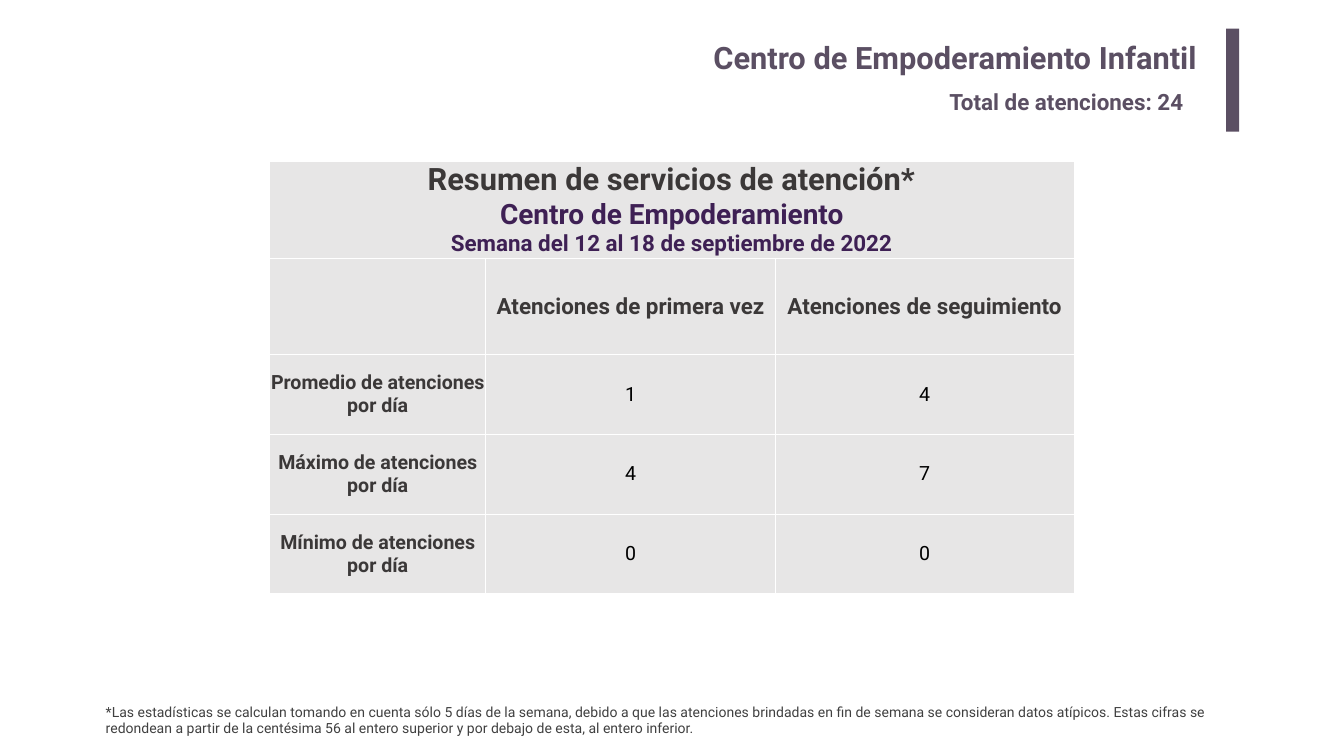
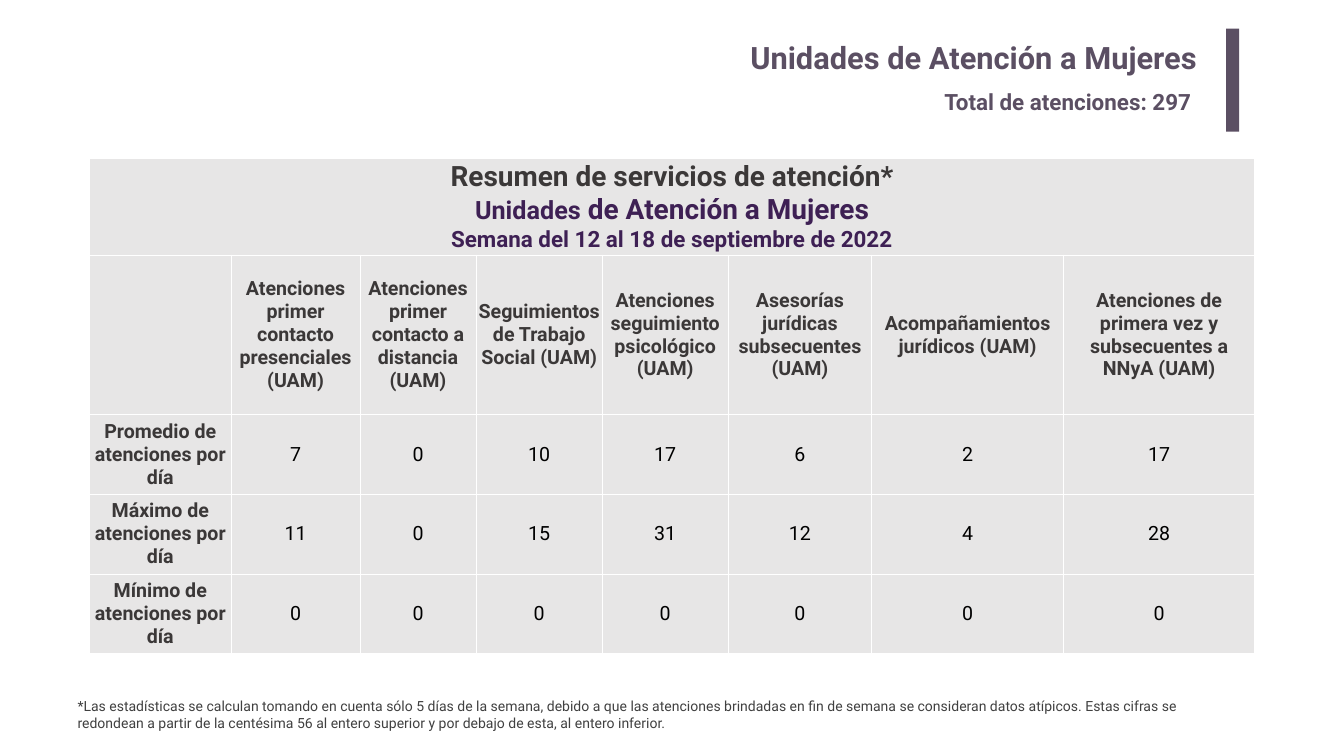
"""Build two slides that summarise weekly attention services."""
from lxml import etree
from pptx import Presentation
from pptx import util as u
from pptx.dml.color import RGBColor
from pptx.enum import shapes, text
from pptx.oxml import ns

PX = 9144
FONT = "Roboto"
COLORS = {
    "accent": "5B4F63",
    "heading": "3B3838",
    "violet": "3E2054",
    "value": "000000",
    "note": "404040",
    "cell": "E7E6E6",
    "border": "FFFFFF",
}
WEEK = "Semana del 12 al 18 de septiembre de 2022"
SUMMARY = "Resumen de servicios de atención*"
NOTE = (
    "*Las estadísticas se calculan tomando en cuenta sólo 5 días de la semana, "
    "debido a que las atenciones brindadas en fin de semana se consideran datos "
    "atípicos. Estas cifras se redondean a partir de la centésima 56 al entero "
    "superior y por debajo de esta, al entero inferior."
)
ROW_LABELS = [f"{measure} de atenciones por día" for measure in ("Promedio", "Máximo", "Mínimo")]

centers = [
    {
        "title": "Centro de Empoderamiento Infantil",
        "total": "Total de atenciones: 24",
        "total_box": (1874, 169, 528, 64),
        "note_box": (200, 1390, 2233, 77),
        "table_at": (535, 320),
        "columns": [429, 575, 592],
        "rows": [192, 192, 158, 158, 158],
        "banner": [
            [(SUMMARY, 44, "heading")],
            [("Centro de Empoderamiento", 40, "violet")],
            [(WEEK, 32, "violet")],
        ],
        "header_size": 32,
        "headers": ["Atenciones de primera vez", "Atenciones de seguimiento"],
        "values": [[1, 4], [4, 7], [0, 0]],
    },
    {
        "title": "Unidades de Atención a Mujeres",
        "total": "Total de atenciones: 297",
        "total_box": (1864, 169, 538, 64),
        "note_box": (144, 1379, 2277, 77),
        "table_at": (177, 315),
        "columns": [282, 255, 231, 250, 250, 285, 380, 380],
        "rows": [191, 317, 158, 158, 158],
        "banner": [
            [(SUMMARY, 40, "heading")],
            [("Unidades", 36, "violet"), (" de Atención a Mujeres", 40, "violet")],
            [(WEEK, 32, "violet")],
        ],
        "header_size": 28,
        "headers": [
            "Atenciones primer contacto presenciales (UAM)",
            "Atenciones primer contacto a distancia (UAM)",
            "Seguimientos de Trabajo Social (UAM)",
            "Atenciones seguimiento psicológico (UAM)",
            "Asesorías jurídicas subsecuentes (UAM)",
            "Acompañamientos jurídicos (UAM)",
            "Atenciones de primera vez y subsecuentes a NNyA (UAM)",
        ],
        "values": [
            [7, 0, 10, 17, 6, 2, 17],
            [11, 0, 15, 31, 12, 4, 28],
            [0, 0, 0, 0, 0, 0, 0],
        ],
    },
]


def write_lines(frame, lines, align, bold=True):
    """Fill a text frame with lines of (text, size, color) spans."""
    frame.text = "\n".join("" for _ in lines)
    for para, spans in zip(frame.paragraphs, lines):
        para.alignment = align
        for words, size, color in spans:
            span = para.add_run()
            span.text = words
            span.font.name = FONT
            span.font.size = u.Pt(size)
            span.font.bold = bold
            span.font.color.rgb = RGBColor.from_string(COLORS[color])


def add_label(page, place, words, size, color, align, bold=True, margins=(10, 5)):
    """Add a one-paragraph text box."""
    box = page.shapes.add_textbox(*[n * PX for n in place])
    frame = box.text_frame
    frame.word_wrap = True
    frame.margin_left = frame.margin_right = margins[0] * PX
    frame.margin_top = frame.margin_bottom = margins[1] * PX
    write_lines(frame, [[(words, size, color)]], align, bold)


deck = Presentation()
deck.slide_width = 2667 * PX
deck.slide_height = 1500 * PX

for center in centers:
    page = deck.slides.add_slide(deck.slide_layouts[6])

    columns, rows = center["columns"], center["rows"]
    place = (*center["table_at"], sum(columns), sum(rows))
    table = page.shapes.add_table(len(rows), len(columns), *[n * PX for n in place]).table
    table.first_row = False
    table.horz_banding = False
    for column, width in zip(table.columns, columns):
        column.width = width * PX
    for row, height in zip(table.rows, rows):
        row.height = height * PX

    for cell in table.iter_cells():
        cell.margin_left = cell.margin_right = cell.margin_top = cell.margin_bottom = 0
        cell.vertical_anchor = text.MSO_ANCHOR.MIDDLE
        properties = cell._tc.get_or_add_tcPr()
        for side in ("lnL", "lnR", "lnT", "lnB"):
            edge = etree.SubElement(properties, ns.qn(f"a:{side}"), w=str(u.Pt(1)))
            paint = etree.SubElement(edge, ns.qn("a:solidFill"))
            etree.SubElement(paint, ns.qn("a:srgbClr"), val=COLORS["border"])
        cell.fill.solid()
        cell.fill.fore_color.rgb = RGBColor.from_string(COLORS["cell"])

    banner = table.cell(0, 0)
    banner.merge(table.cell(0, len(columns) - 1))
    write_lines(banner.text_frame, center["banner"], text.PP_ALIGN.CENTER)
    for index, header in enumerate(center["headers"], 1):
        line = [(header, center["header_size"], "heading")]
        write_lines(table.cell(1, index).text_frame, [line], text.PP_ALIGN.CENTER)
    for number, (label, values) in enumerate(zip(ROW_LABELS, center["values"]), 2):
        line = [(label, 28, "heading")]
        write_lines(table.cell(number, 0).text_frame, [line], text.PP_ALIGN.CENTER)
        for index, value in enumerate(values, 1):
            line = [(str(value), 28, "value")]
            write_lines(table.cell(number, index).text_frame, [line], text.PP_ALIGN.CENTER, False)

    add_label(page, (366, 67, 2030, 102), center["title"], 44, "accent",
              text.PP_ALIGN.RIGHT, margins=(20, 10))
    bar = page.shapes.add_shape(shapes.MSO_SHAPE.RECTANGLE, *[n * PX for n in (2433, 57, 26, 204)])
    bar.shadow.inherit = False
    bar.fill.solid()
    bar.fill.fore_color.rgb = RGBColor.from_string(COLORS["accent"])
    bar.line.fill.background()
    add_label(page, center["total_box"], center["total"], 32, "accent", text.PP_ALIGN.LEFT)
    add_label(page, center["note_box"], NOTE, 20, "note", text.PP_ALIGN.LEFT, bold=False)

deck.save("out.pptx")
